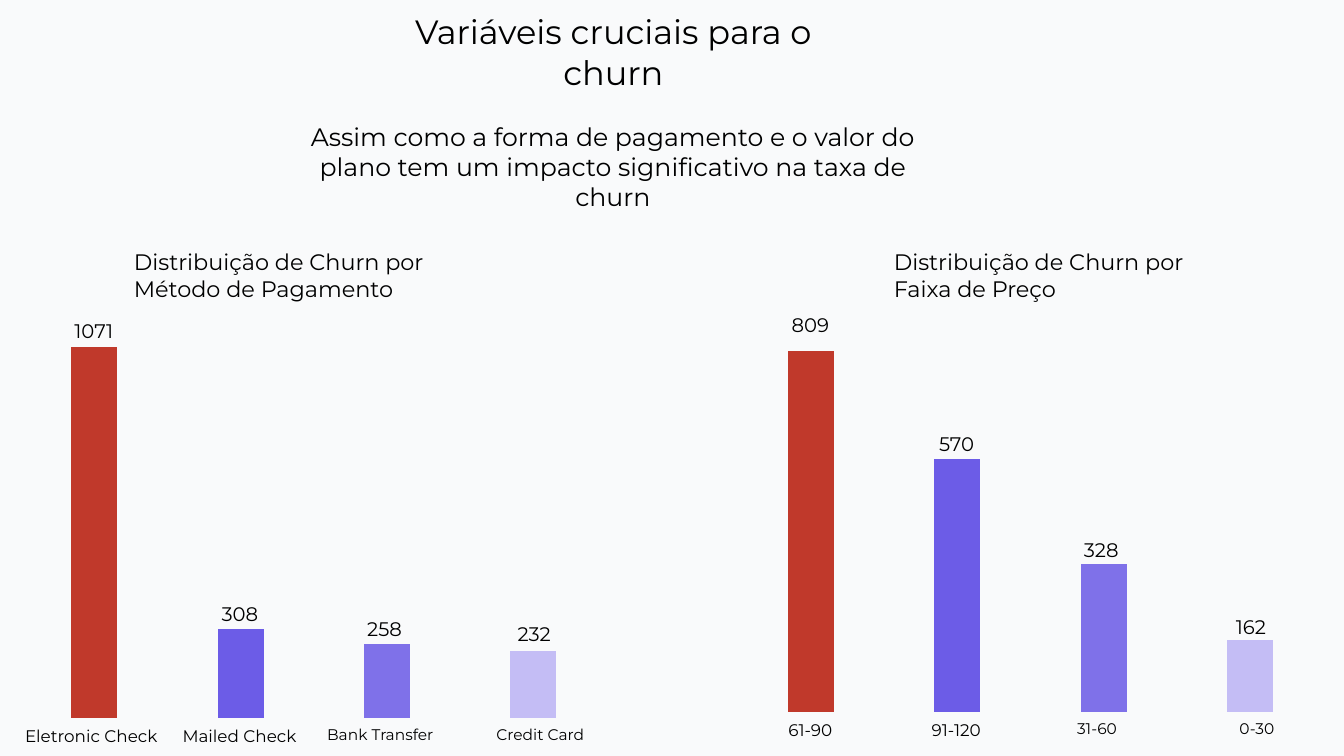
from lxml import etree
from pptx import Presentation
from pptx.chart.data import CategoryChartData
from pptx.dml.color import RGBColor
from pptx.enum.chart import XL_CHART_TYPE as CT
from pptx.enum.text import MSO_ANCHOR as VA, MSO_AUTO_SIZE as FIT, PP_ALIGN as AL
from pptx.oxml.ns import qn
from pptx.util import Pt


def rgb(value):
    return RGBColor.from_string(value)


class Deck:
    font, chart_font = "Montserrat", "Lato"
    ink, paper = "000000", "F9FAFB"
    bar_colors = ["C0392B", "6C5CE7", "7F71E9", "C4BDF5"]

    def __init__(self, width, height):
        self.prs = Presentation()
        self.prs.slide_width, self.prs.slide_height = Pt(width), Pt(height)

    def add_slide(self):
        self.s = self.prs.slides.add_slide(self.prs.slide_layouts[5])
        self.s.background.fill.solid()
        self.s.background.fill.fore_color.rgb = rgb(self.paper)

    def set_text(self, sp, text, size, align):
        tf = sp.text_frame
        tf.word_wrap, tf.auto_size = True, FIT.NONE
        tf.vertical_anchor = VA.TOP
        p = tf.paragraphs[0]
        p.text, p.alignment = text, align
        p.font.name, p.font.size = self.font, Pt(size)
        p.font.color.rgb = rgb(self.ink)

    def title(self, x, y, w, h, text, size):
        sp = self.s.shapes.title
        sp.left, sp.top, sp.width, sp.height = Pt(x), Pt(y), Pt(w), Pt(h)
        self.set_text(sp, text, size, AL.CENTER)

    def text(self, x, y, w, h, text, size, align=AL.CENTER, group=None):
        shapes = (group or self.s).shapes
        sp = shapes.add_textbox(Pt(x), Pt(y), Pt(w), Pt(h))
        self.set_text(sp, text, size, align)

    def columns(self, x, y, w, h, values, top, group):
        data = CategoryChartData()
        data.categories = ["1", "2", "3", "4"]
        data.add_series("Series 1", values)
        chart = group.shapes.add_chart(
            CT.COLUMN_CLUSTERED, Pt(x), Pt(y), Pt(w), Pt(h), data).chart
        chart.has_legend = chart.has_title = False
        chart.font.name, chart.font.size = self.chart_font, Pt(10)
        chart.font.color.rgb = rgb(self.ink)
        axis = chart.value_axis
        axis.minimum_scale, axis.maximum_scale = 0, top
        axis.has_major_gridlines = False
        axis.visible = chart.category_axis.visible = False
        plot = chart.plots[0]
        plot.gap_width, plot.overlap, plot.vary_by_categories = 219, -27, False
        series = plot.series[0]
        series.format.fill.solid()
        series.format.fill.fore_color.rgb = rgb(self.bar_colors[-1])
        for i, color in enumerate(self.bar_colors[:-1]):
            fill = series.points[i].format.fill
            fill.solid()
            fill.fore_color.rgb = rgb(color)
        self.fill_frame(chart)

    def fill_frame(self, chart):
        # Stretch the plot over the whole chart frame
        area = chart.element.find(".//" + qn("c:plotArea"))
        for old in area.findall(qn("c:layout")):
            area.remove(old)
        layout = etree.Element(qn("c:layout"))
        manual = etree.SubElement(layout, qn("c:manualLayout"))
        for tag, val in [("layoutTarget", "inner"), ("xMode", "edge"),
                         ("yMode", "edge"), ("x", "0.01"), ("y", "0.01"),
                         ("w", "0.99"), ("h", "0.99")]:
            etree.SubElement(manual, qn("c:" + tag)).set("val", val)
        area.insert(0, layout)

    def panel(self, x, y, values, top, labels, counts, count_tops, first_align):
        w, h = 422.6, 289.2
        group = self.s.shapes.add_group_shape()
        self.columns(x, y, w, h, values, top, group)
        # Category labels: left offset, width, size
        slots = [(0, 112.3, 12), (109.2, 102.2, 12),
                 (213.4, 95, 11), (327.6, 95, 11)]
        aligns = [first_align] + [AL.CENTER] * 3
        for label, (dx, lw, size), align in zip(labels, slots, aligns):
            self.text(x + dx, y + h + 1.4, lw, 21, label, size, align, group)
        # Counts above the columns
        for count, mid, cy in zip(counts, [56.2, 160.6, 263.9, 370.8], count_tops):
            self.text(x + mid - 24.5, cy, 49, 23, count, 14, group=group)


def main():
    deck = Deck(960, 540)
    deck.add_slide()

    # Headings
    deck.title(258.5, 4.3, 359.3, 65.5, "Variáveis cruciais para o churn", 24)
    deck.text(207.4, 82.8, 460.8, 72.7, "Assim como a forma de pagamento e o valor "
              "do plano tem um impacto significativo na taxa de churn", 18)
    for x, topic in [(88.6, "Método de Pagamento"), (631.4, "Faixa de Preço")]:
        deck.text(x, 173.5, 237.6, 46, f"Distribuição de Churn por {topic}",
                  16, AL.LEFT)

    # Churn by payment method
    deck.panel(10.8, 223.9, [100, 24, 20, 18], 108,
               ["Eletronic Check", "Mailed Check", "Bank Transfer", "Credit Card"],
               ["1071", "308", "258", "232"], [223.9, 426.2, 437, 440.6], AL.LEFT)

    # Churn by price range
    deck.panel(522.7, 219.6, [100, 70, 41, 20], 111,
               ["61-90", "91-120", "31-60", "0-30"],
               ["809", "570", "328", "162"], [219.6, 304.6, 380.9, 435.6], AL.CENTER)

    deck.prs.save("out.pptx")


if __name__ == "__main__":
    main()
